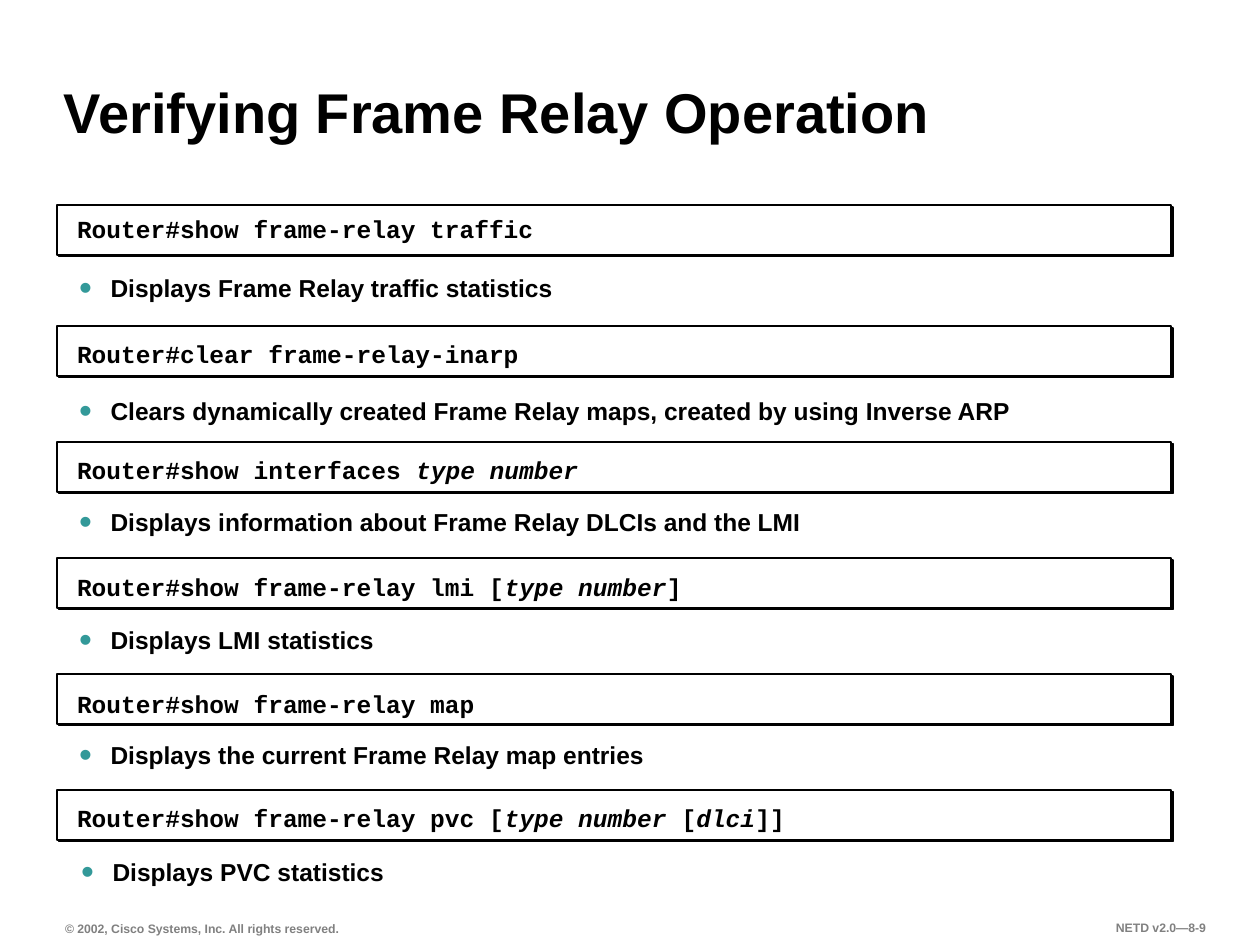
from dataclasses import dataclass

from lxml import etree
from pptx import Presentation
from pptx import util as u
from pptx.dml.color import RGBColor
from pptx.enum import shapes, text
from pptx.oxml.ns import qn

PX_PER_INCH = 126
COLORS = {"ink": "000000", "paper": "FFFFFF", "bullet": "339999", "footer": "808080"}
BOX_LEFT, BOX_WIDTH, BOX_HEIGHT = 57, 1114, 50
COMMAND_LEFT, NOTE_LEFT = 67, 69
TEXT_WIDTH, TEXT_HEIGHT = 1037, 40


@dataclass(frozen=True)
class Command:
    """A command and its note; every second span of the command is italic."""
    spans: tuple[str, ...]
    note: str
    box_top: int
    command_top: int
    note_top: int
    note_shift: int = 0


COMMANDS = (
    Command(("Router#show frame-relay traffic",),
            "Displays Frame Relay traffic statistics", 205, 209, 268),
    Command(("Router#clear frame-relay-inarp",),
            "Clears dynamically created Frame Relay maps, created by using Inverse ARP",
            326, 334, 391),
    Command(("Router#show interfaces ", "type number"),
            "Displays information about Frame Relay DLCIs and the LMI", 442, 450, 502),
    Command(("Router#show frame-relay lmi [", "type number", "]"),
            "Displays LMI statistics", 558, 567, 620),
    Command(("Router#show frame-relay map",),
            "Displays the current Frame Relay map entries", 674, 684, 735),
    Command(("Router#show frame-relay pvc [", "type number", " [", "dlci", "]]"),
            "Displays PVC statistics", 790, 798, 852, 2),
)


def px(length: int) -> u.Emu:
    return u.Emu(round(length * u.Inches(1) / PX_PER_INCH))


def place(left: int, top: int, width: int, height: int) -> tuple[u.Emu, ...]:
    return px(left), px(top), px(width), px(height)


def add_child(parent, tag: str, **attributes: str):
    return etree.SubElement(parent, qn(tag), attributes)


def add_bullet(para) -> None:
    properties = para._p.get_or_add_pPr()
    indent = u.Inches(0.25)
    properties.set("marL", str(indent))
    properties.set("indent", str(-indent))
    add_child(add_child(properties, "a:buClr"), "a:srgbClr", val=COLORS["bullet"])
    add_child(properties, "a:buSzPct", val="150000")
    add_child(properties, "a:buFont", typeface="Arial")
    add_child(properties, "a:buChar", char="•")


def write(box, *spans: str, size: int = 14, font: str = "Arial", color: str = "ink",
          align=text.PP_ALIGN.LEFT, anchor=text.MSO_ANCHOR.TOP, inset: int = 10,
          wrap: bool = True, bullet: bool = False, line_spacing: float = 1.0) -> None:
    """Fill a box with one bold paragraph whose every second span is italic."""
    frame = box.text_frame
    frame.word_wrap = wrap
    frame.auto_size = text.MSO_AUTO_SIZE.NONE
    frame.vertical_anchor = anchor
    frame.margin_left = frame.margin_right = px(inset)
    frame.margin_top = frame.margin_bottom = px(5)
    para = frame.paragraphs[0]
    if bullet:
        add_bullet(para)
    para.alignment = align
    para.line_spacing = line_spacing
    for index, words in enumerate(spans):
        span = para.add_run()
        span.text = words
        span.font.size = u.Pt(size)
        span.font.name = font
        span.font.bold = True
        span.font.italic = index % 2 == 1
        span.font.color.rgb = RGBColor.from_string(COLORS[color])


def add_command_box(page, top: int) -> None:
    box = page.shapes.add_shape(shapes.MSO_SHAPE.RECTANGLE,
                                *place(BOX_LEFT, top, BOX_WIDTH, BOX_HEIGHT))
    box.fill.solid()
    box.fill.fore_color.rgb = RGBColor.from_string(COLORS["paper"])
    box.line.color.rgb = RGBColor.from_string(COLORS["ink"])
    box.line.width = u.Pt(1)
    box.shadow.inherit = False
    effects = box._element.spPr.find(qn("a:effectLst"))
    shadow = add_child(effects, "a:outerShdw", blurRad="0", dist=str(u.Pt(1.4)),
                       dir="2700000", algn="ctr", rotWithShape="0")
    add_child(shadow, "a:srgbClr", val=COLORS["ink"])


def add_command(page, command: Command) -> None:
    add_command_box(page, command.box_top)
    line = page.shapes.add_textbox(
        *place(COMMAND_LEFT, command.command_top, TEXT_WIDTH, TEXT_HEIGHT))
    write(line, *command.spans, font="Courier New")
    note = page.shapes.add_textbox(
        *place(NOTE_LEFT + command.note_shift, command.note_top, TEXT_WIDTH, TEXT_HEIGHT))
    write(note, command.note, bullet=True)


def add_footer(page) -> None:
    style = dict(size=7, color="footer", inset=11, wrap=False)
    rights = page.shapes.add_textbox(*place(54, 915, 297, 26))
    write(rights, "© 2002, Cisco Systems, Inc. All rights reserved.",
          anchor=text.MSO_ANCHOR.BOTTOM, **style)
    number = page.shapes.add_textbox(*place(1056, 915, 161, 26))
    write(number, "NETD v2.0—8-9", align=text.PP_ALIGN.RIGHT, **style)


def main() -> None:
    deck = Presentation()
    deck.slide_width, deck.slide_height = u.Inches(10), u.Inches(7.5)
    page = deck.slides.add_slide(deck.slide_layouts.get_by_name("Title Only"))
    title = page.shapes.title
    title.left, title.top, title.width, title.height = place(53, 35, 1051, 116)
    write(title, "Verifying Frame Relay Operation", size=32, inset=11,
          anchor=text.MSO_ANCHOR.BOTTOM, line_spacing=0.9)
    for command in COMMANDS:
        add_command(page, command)
    add_footer(page)
    deck.save("out.pptx")


if __name__ == "__main__":
    main()
